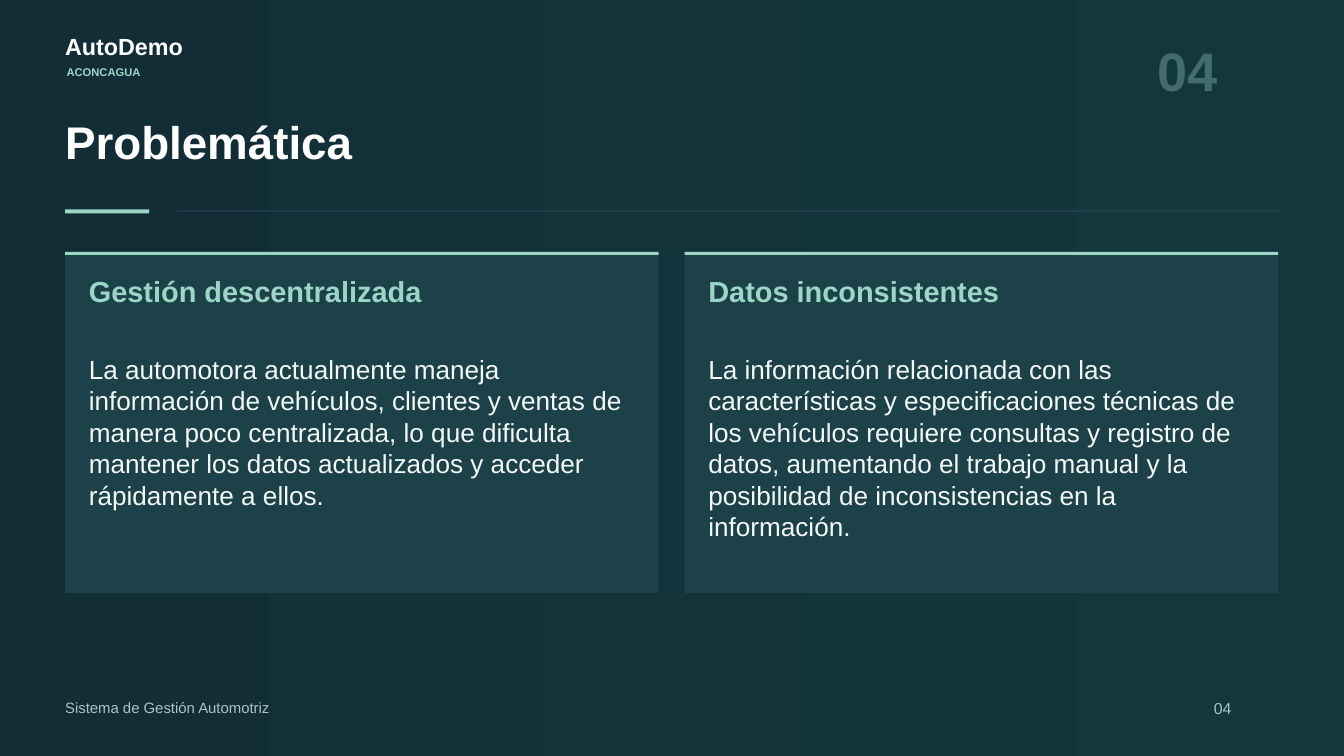
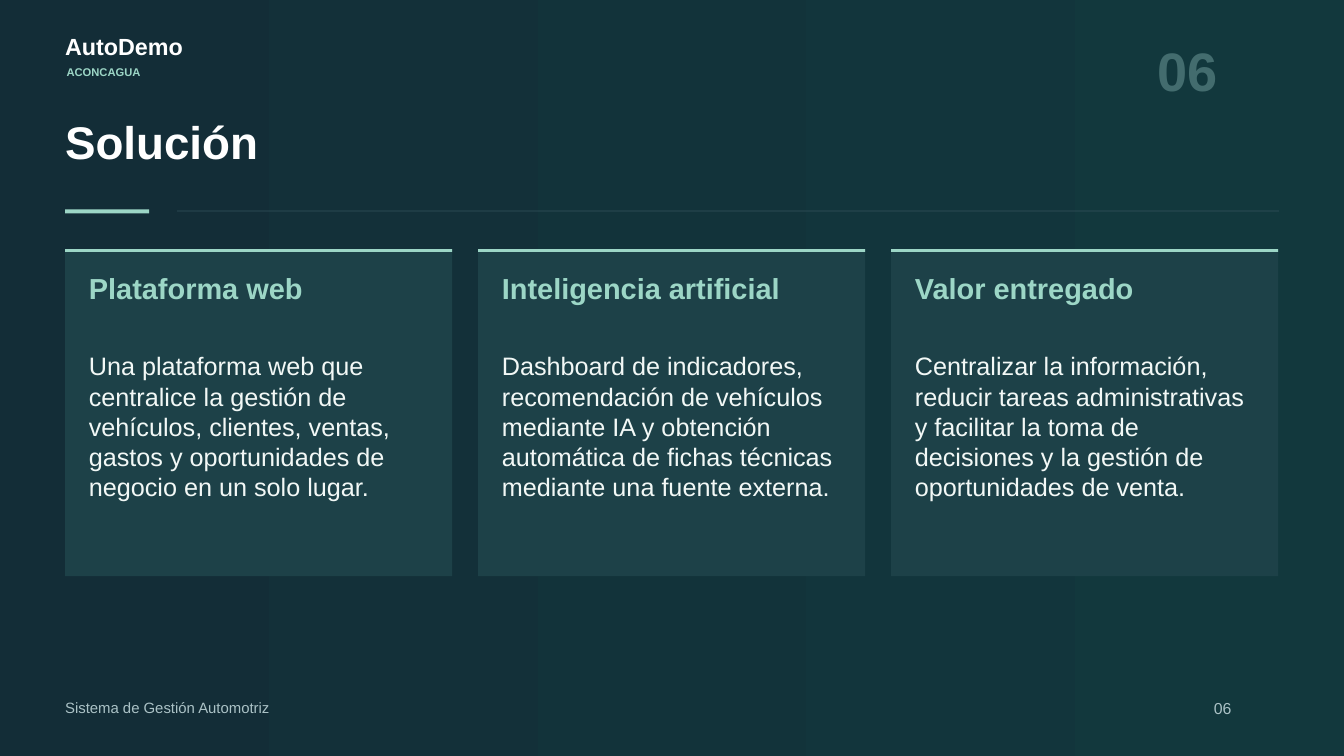
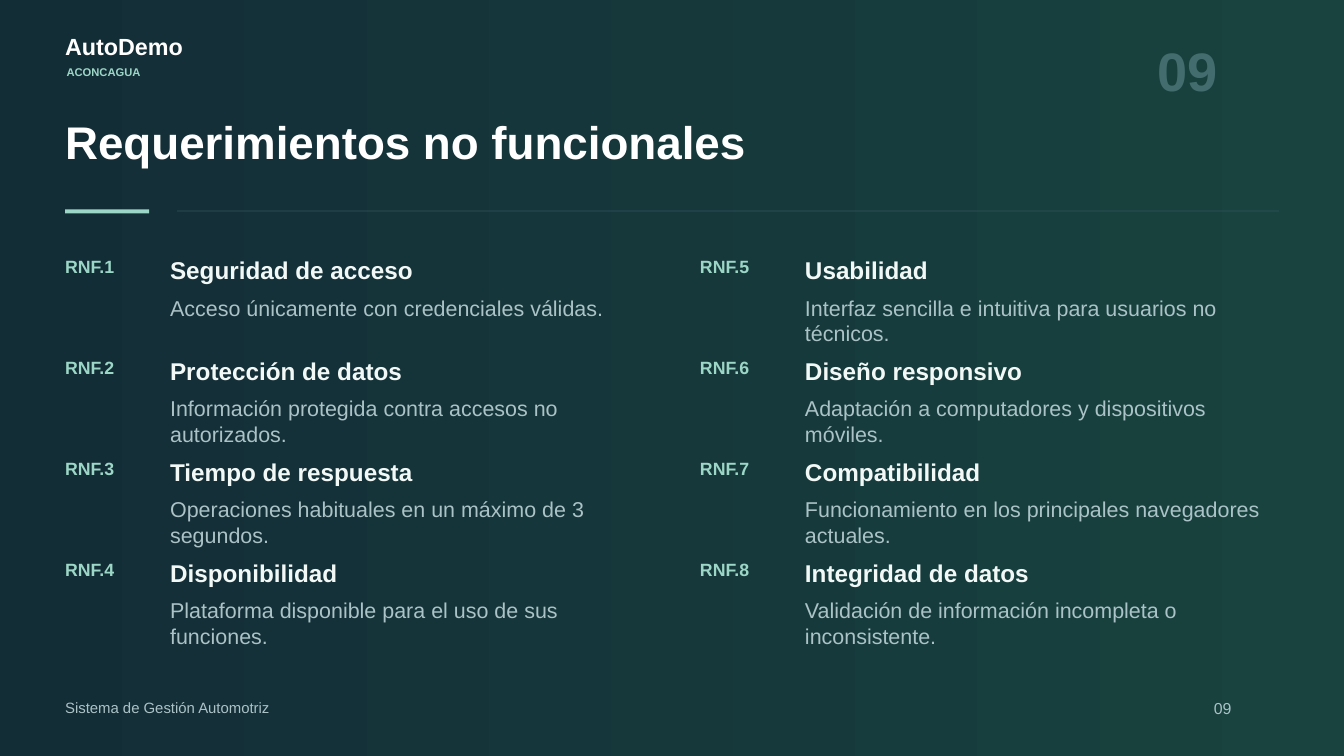
"""Build three AutoDemo slides: the problem, the solution and the non-functional requirements."""
from dataclasses import dataclass

from pptx import Presentation
from pptx.dml.color import RGBColor
from pptx.enum.shapes import MSO_SHAPE
from pptx.enum.text import MSO_ANCHOR, MSO_AUTO_SIZE, PP_ALIGN
from pptx.util import Emu, Pt

PX = 9525


@dataclass(frozen=True)
class Style:
    size: int
    color: str
    bold: bool = False


class Theme:
    font = "Arial"
    mint = "9CD6C6"
    card = "1D4148"
    rule = "34545D"
    night, teal, forest = "132D37", "12383D", "18433F"
    white, pale, muted, ghost = "FFFFFF", "F2F8F6", "ABC2C6", "436C6E"
    brand = Style(25, white, True)
    brand_place = Style(12, mint, True)
    big_number = Style(58, ghost, True)
    title = Style(49, white, True)
    footer = Style(16, muted)
    page = Style(17, muted)
    card_heading = Style(31, mint, True)
    code = Style(19, mint, True)
    requirement = Style(26, pale, True)
    detail = Style(23, muted)


def write(slide, box, text, style, shape=None):
    left, top, width, height = [Emu(value * PX) for value in box]
    if shape is None:
        shape = slide.shapes.add_textbox(left, top, width, height)
    shape.left, shape.top, shape.width, shape.height = left, top, width, height
    frame = shape.text_frame
    frame.text = text
    frame.word_wrap = True
    frame.auto_size = MSO_AUTO_SIZE.SHAPE_TO_FIT_TEXT
    frame.vertical_anchor = MSO_ANCHOR.TOP
    frame.margin_left = frame.margin_top = frame.margin_right = frame.margin_bottom = 0
    paragraph = frame.paragraphs[0]
    paragraph.alignment = PP_ALIGN.LEFT
    paragraph.line_spacing = Pt(style.size * 1.2)
    paragraph.font.name = Theme.font
    paragraph.font.size = Pt(style.size)
    paragraph.font.bold = style.bold
    paragraph.font.color.rgb = RGBColor.from_string(style.color)


def block(slide, box, color):
    shape = slide.shapes.add_shape(MSO_SHAPE.RECTANGLE, *[Emu(value * PX) for value in box])
    shape.shadow.inherit = False
    shape.fill.solid()
    shape.fill.fore_color.rgb = RGBColor.from_string(color)
    shape.line.fill.background()


LEFT, CONTENT_WIDTH = 93, 1734
CARD_GAP, CARD_INSET = 37, 34
COLUMNS, ROWS, ROW_STEP = (93, 1000), 4, 144

problem_cards = [
    ("Gestión descentralizada",
     "La automotora actualmente maneja información de vehículos, clientes y ventas de manera "
     "poco centralizada, lo que dificulta mantener los datos actualizados y acceder "
     "rápidamente a ellos."),
    ("Datos inconsistentes",
     "La información relacionada con las características y especificaciones técnicas de los "
     "vehículos requiere consultas y registro de datos, aumentando el trabajo manual y la "
     "posibilidad de inconsistencias en la información."),
]
solution_cards = [
    ("Plataforma web",
     "Una plataforma web que centralice la gestión de vehículos, clientes, ventas, gastos y "
     "oportunidades de negocio en un solo lugar."),
    ("Inteligencia artificial",
     "Dashboard de indicadores, recomendación de vehículos mediante IA y obtención automática "
     "de fichas técnicas mediante una fuente externa."),
    ("Valor entregado",
     "Centralizar la información, reducir tareas administrativas y facilitar la toma de "
     "decisiones y la gestión de oportunidades de venta."),
]
requirements = [
    ("Seguridad de acceso", "Acceso únicamente con credenciales válidas."),
    ("Protección de datos", "Información protegida contra accesos no autorizados."),
    ("Tiempo de respuesta", "Operaciones habituales en un máximo de 3 segundos."),
    ("Disponibilidad", "Plataforma disponible para el uso de sus funciones."),
    ("Usabilidad", "Interfaz sencilla e intuitiva para usuarios no técnicos."),
    ("Diseño responsivo", "Adaptación a computadores y dispositivos móviles."),
    ("Compatibilidad", "Funcionamiento en los principales navegadores actuales."),
    ("Integridad de datos", "Validación de información incompleta o inconsistente."),
]

presentation = Presentation()
presentation.slide_width = Emu(1920 * PX)
presentation.slide_height = Emu(1080 * PX)
title_only = presentation.slide_layouts[5]

slides = []
for number, title, end_color in [
    ("04", "Problemática", Theme.teal),
    ("06", "Solución", Theme.teal),
    ("09", "Requerimientos no funcionales", Theme.forest),
]:
    slide = presentation.slides.add_slide(title_only)
    slides.append(slide)
    background = slide.background.fill
    background.gradient()
    background.gradient_angle = 0
    for stop, color in zip(background.gradient_stops, (Theme.night, end_color)):
        stop.color.rgb = RGBColor.from_string(color)
    write(slide, (LEFT, 46, 320, 46), "AutoDemo", Theme.brand)
    write(slide, (95, 94, 333, 32), "ACONCAGUA", Theme.brand_place)
    write(slide, (1653, 53, 174, 101), number, Theme.big_number)
    write(slide, (LEFT, 162, CONTENT_WIDTH, 135), title, Theme.title, slide.shapes.title)
    block(slide, (LEFT, 299, 120, 6), Theme.mint)
    block(slide, (253, 301, 1574, 1), Theme.rule)
    write(slide, (1734, 998, 93, 39), number, Theme.page)
    write(slide, (LEFT, 998, 800, 39), "Sistema de Gestión Automotriz", Theme.footer)

problem, solution, non_functional = slides

for slide, cards, top, height, body_size in [
    (problem, problem_cards, 360, 487, 28),
    (solution, solution_cards, 356, 467, 27),
]:
    width = (CONTENT_WIDTH - CARD_GAP * (len(cards) - 1)) // len(cards)
    text_width = width - 2 * CARD_INSET
    for index, (heading, body) in enumerate(cards):
        left = LEFT + index * (width + CARD_GAP)
        text_left = left + CARD_INSET
        block(slide, (left, top, width, height), Theme.card)
        block(slide, (left, top, width, 4), Theme.mint)
        write(slide, (text_left, top + 31, text_width, 102), heading, Theme.card_heading)
        write(slide, (text_left, top + 145, text_width, 468), body, Style(body_size, Theme.pale))

for index, (name, detail) in enumerate(requirements):
    column, row = divmod(index, ROWS)
    left, top = COLUMNS[column], 365 + row * ROW_STEP
    write(non_functional, (left, top + 1, 133, 46), f"RNF.{index + 1}", Theme.code)
    write(non_functional, (left + 150, top, 678, 49), name, Theme.requirement)
    write(non_functional, (left + 150, top + 56, 678, 82), detail, Theme.detail)

presentation.save("out.pptx")
